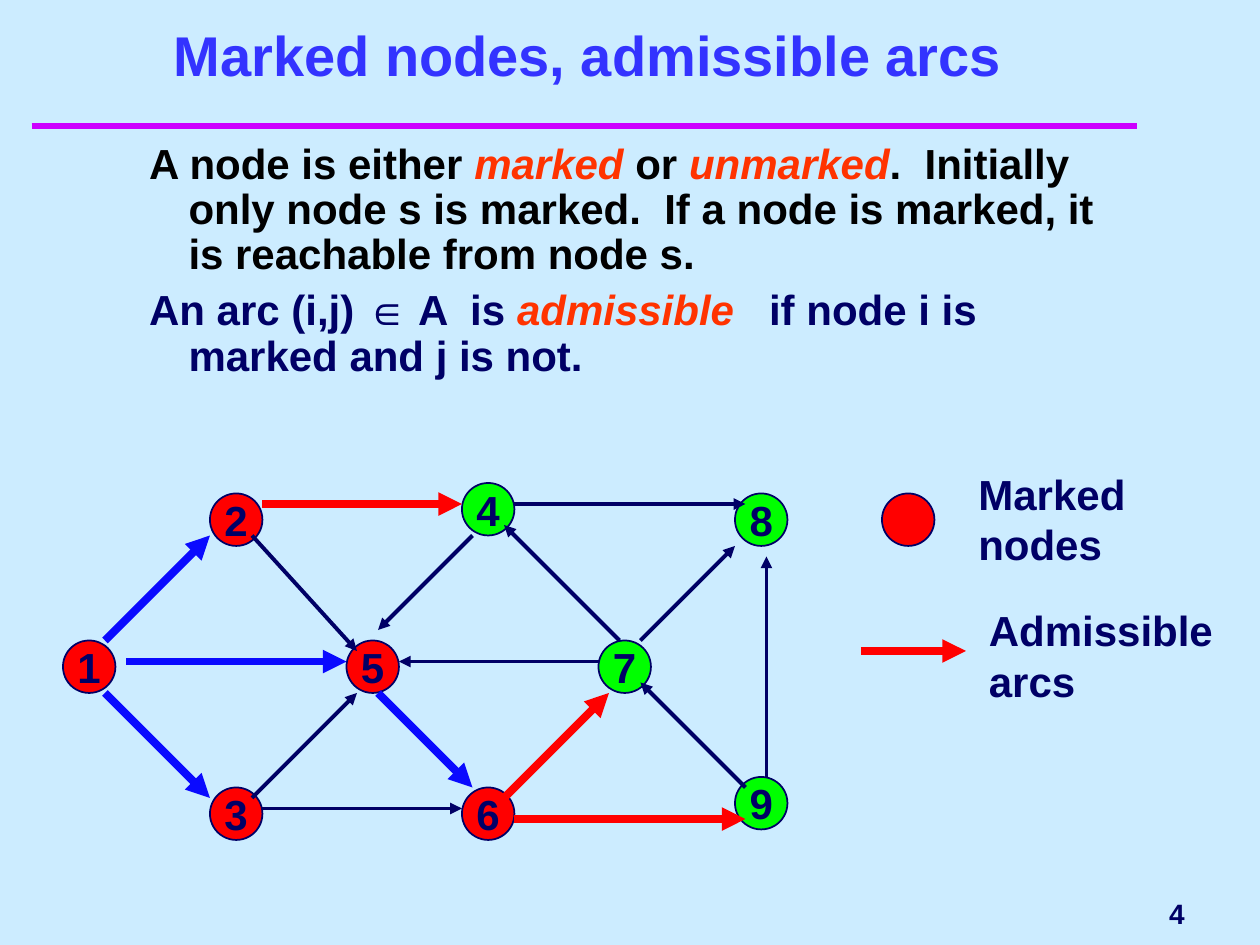
from dataclasses import dataclass
from pptx import Presentation
from pptx.dml.color import RGBColor as Rgb
from pptx.enum.shapes import MSO_CONNECTOR as Conn, MSO_SHAPE as Kind
from pptx.enum.text import MSO_ANCHOR as Anchor, MSO_AUTO_SIZE as Fit, PP_ALIGN as Align
from pptx.oxml.ns import qn
from pptx.util import Pt
from lxml.etree import SubElement as Sub


@dataclass(frozen=True)
class Theme:
    font: str = "Arial"
    back: str = "CCECFF"
    title: str = "3333FF"
    rule: str = "CC00FF"
    ink: str = "000066"
    black: str = "000000"
    term: str = "FF3300"
    red: str = "FF0000"
    green: str = "00FF00"
    blue: str = "0A0AFF"
    head: float = 32
    text: float = 24
    small: float = 16
    edge: float = 1
    thin: float = 2.25
    thick: float = 4.5
    bar: float = 4


T = Theme()
UNIT = 6
NODE = 5 * UNIT

NODES = {
    1: (0, 15, T.red), 2: (14, 1, T.red), 3: (14, 29, T.red),
    4: (38, 0, T.green), 5: (27, 15, T.red), 6: (38, 29, T.red),
    7: (51, 15, T.green), 8: (64, 1, T.green), 9: (64, 28, T.green),
}
PLAIN = [
    (43, 2, 65, 2), (55, 15, 64, 6), (53, 15, 42, 4), (39, 5, 30, 14),
    (18, 30, 28, 20), (19, 31, 38, 31), (65, 29, 55, 19),
    (67, 28, 67, 7), (18, 5, 28, 16), (51, 17, 32, 17),
]
OPEN = [(19, 2, 38, 2), (43, 32, 65, 32), (42, 30, 52, 20)]
TREE = [(4, 15, 14, 5), (6, 17, 27, 17), (4, 20, 14, 30), (30, 20, 39, 29)]

BODY = [
    (12, [("A node is either ", T.black), ("marked", T.term), (" or ", T.black),
          ("unmarked", T.term),
          (".  Initially only node s is marked.  If a node is marked, "
           "it is reachable from node s.", T.black)]),
    (6, [("An arc (i,j) ∈ A  is ", T.ink), ("admissible ", T.term),
         ("  if node i is marked and j is not.", T.ink)]),
]


def put(shape, box):
    shape.left, shape.top, shape.width, shape.height = map(Pt, box)


def write(par, text, size=T.text, color=T.ink, slant=False):
    run = par.add_run()
    run.text = text
    font = run.font
    font.name, font.size, font.bold, font.italic = T.font, Pt(size), True, slant
    font.color.rgb = Rgb.from_string(color)


def label(slide, box, text, size=T.text, align=Align.LEFT, anchor=Anchor.TOP):
    frame = slide.shapes.add_textbox(*map(Pt, box)).text_frame
    frame.word_wrap = True
    frame.vertical_anchor = anchor
    par = frame.paragraphs[0]
    par.alignment = align
    write(par, text, size)


def stroke(slide, ends, color, width, arrow=True):
    line = slide.shapes.add_connector(Conn.STRAIGHT, *map(Pt, ends))
    line.line.color.rgb = Rgb.from_string(color)
    line.line.width = Pt(width)
    props = line.line._get_or_add_ln()
    if arrow:
        Sub(props, qn("a:tailEnd"), type="triangle")
    Sub(props.getparent(), qn("a:effectLst"))


def disc(slide, left, top, color, text=None):
    dot = slide.shapes.add_shape(Kind.OVAL, *map(Pt, (left, top, NODE, NODE)))
    dot.shadow.inherit = False
    dot.fill.solid()
    dot.fill.fore_color.rgb = Rgb.from_string(color)
    dot.line.color.rgb = Rgb.from_string(T.ink)
    dot.line.width = Pt(T.edge)
    if text:
        frame = dot.text_frame
        frame.word_wrap = False
        frame.vertical_anchor = Anchor.MIDDLE
        par = frame.paragraphs[0]
        par.alignment = Align.CENTER
        write(par, text)


def header(slide, box):
    left, top, width, height = box
    title = slide.shapes.title
    put(title, box)
    frame = title.text_frame
    frame.auto_size = Fit.NONE
    frame.vertical_anchor = Anchor.BOTTOM
    par = frame.paragraphs[0]
    par.alignment = Align.CENTER
    write(par, "Marked nodes, admissible arcs", T.head, T.title)
    stroke(slide, (left - 12, top + 60, left + 620, top + 60), T.rule, T.bar, False)


def body(slide, box):
    shape = slide.placeholders[1]
    put(shape, box)
    frame = shape.text_frame
    frame.auto_size = Fit.NONE
    for i, (gap, runs) in enumerate(BODY):
        par = frame.add_paragraph() if i else frame.paragraphs[0]
        par.level = 1
        par.line_spacing = 0.9
        par.space_before = Pt(gap)
        props = par._p.get_or_add_pPr()
        props.set("marL", str(Pt(58.5)))
        props.set("indent", str(Pt(-22.5)))
        Sub(props, qn("a:buNone"))
        for text, color in runs:
            write(par, text, T.text, color, color == T.term)


def graph(slide, left, top):
    for name, (x, y, color) in NODES.items():
        disc(slide, left + x * UNIT, top + y * UNIT, color, str(name))
    for arcs, color, width in (
        (PLAIN, T.ink, T.thin), (OPEN, T.red, T.thick), (TREE, T.blue, T.thick),
    ):
        for a, b, c, d in arcs:
            ends = (left + a * UNIT, top + b * UNIT, left + c * UNIT, top + d * UNIT)
            stroke(slide, ends, color, width)


def legend(slide, left, top):
    disc(slide, left + 12, top + 18, T.red)
    label(slide, (left + 60, top, 108, 65), "Marked nodes")
    stroke(slide, (left, top + 108, left + 60, top + 108), T.red, T.thick)
    label(slide, (left + 66, top + 78, 150, 65), "Admissible arcs")


def main():
    deck = Presentation()
    deck.slide_width, deck.slide_height = Pt(720), Pt(540)
    slide = deck.slides.add_slide(deck.slide_layouts[1])
    slide.background.fill.solid()
    slide.background.fill.fore_color.rgb = Rgb.from_string(T.back)
    header(slide, (30, 12, 612, 42))
    body(slide, (42, 78, 608, 180))
    graph(slide, 36, 276)
    legend(slide, 492, 264)
    label(slide, (546, 504, 138, 36), "4", T.small, Align.RIGHT, Anchor.MIDDLE)
    deck.save("out.pptx")


if __name__ == "__main__":
    main()
